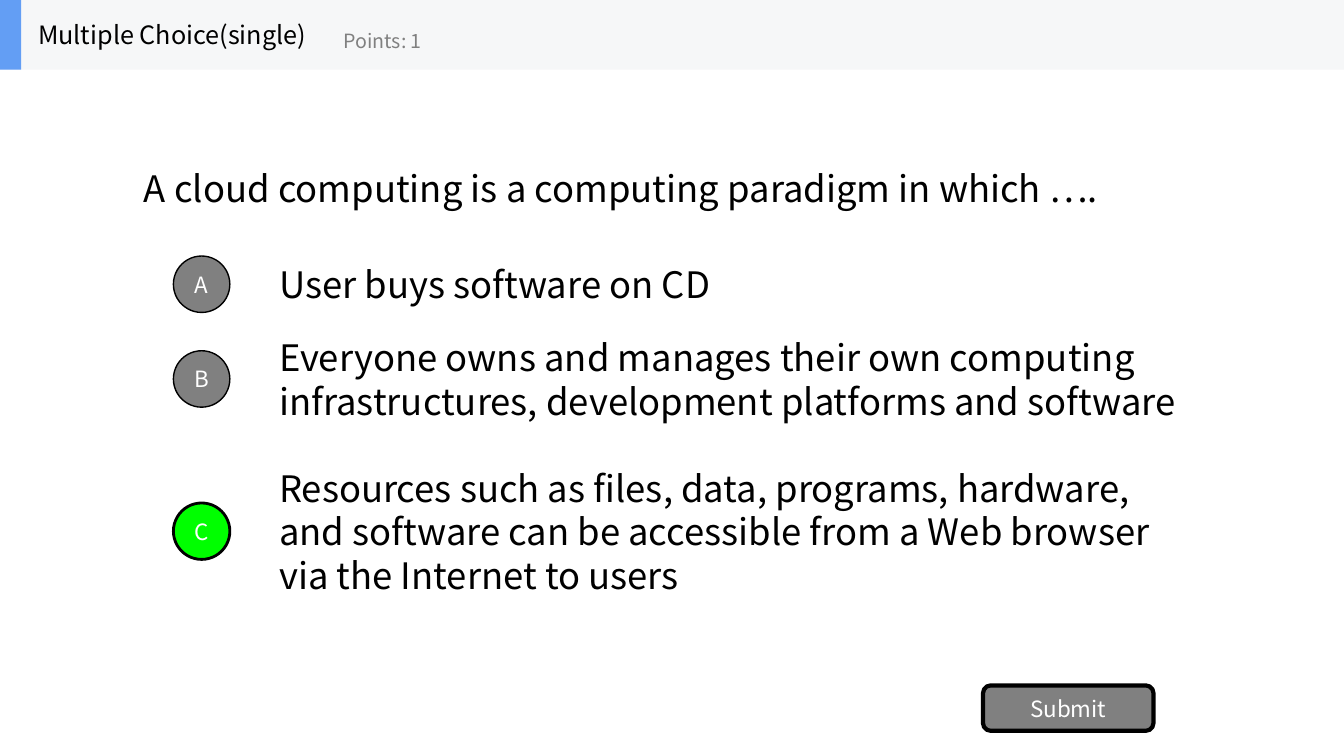
from dataclasses import dataclass

from pptx import Presentation
from pptx.dml.color import RGBColor
from pptx.enum.shapes import MSO_SHAPE
from pptx.enum.text import MSO_ANCHOR, PP_ALIGN
from pptx.util import Inches, Pt


@dataclass(frozen=True)
class Theme:
    font: str = "Noto Sans CJK SC"
    black: str = "000000"
    white: str = "FFFFFF"
    grey: str = "808080"
    correct: str = "00FF00"
    band: str = "F6F7F8"
    accent: str = "639EF4"
    body_size: int = 26
    title_size: int = 18
    button_size: int = 16
    points_size: int = 14


THEME = Theme()
QUESTION = "A cloud computing is a computing paradigm in which …."
# letter, answer, offset from the top of the answer area, is correct
ANSWERS = [
    ("A", "User buys software on CD", 0, False),
    ("B", "Everyone owns and manages their own computing infrastructures, "
          "development platforms and software", 0.94, False),
    ("C", "Resources such as files, data, programs, hardware, and software "
          "can be accessible from a Web browser via the Internet to users", 2.45, True),
]


def write(shape, text, size, color, align=PP_ALIGN.LEFT, wrap=True):
    frame = shape.text_frame
    frame.word_wrap = wrap
    frame.vertical_anchor = MSO_ANCHOR.MIDDLE
    para = frame.paragraphs[0]
    para.text = text
    para.alignment = align
    para.font.name = THEME.font
    para.font.size = Pt(size)
    para.font.color.rgb = RGBColor.from_string(color)


def add_text(page, box, text, size, color, wrap=True):
    label = page.shapes.add_textbox(*map(Inches, box))
    write(label, text, size, color, wrap=wrap)


def add_block(page, kind, box, fill, line_width=0):
    """Add a filled shape, outlined in black if line_width is given."""
    block = page.shapes.add_shape(kind, *map(Inches, box))
    block.shadow.inherit = False
    block.fill.solid()
    block.fill.fore_color.rgb = RGBColor.from_string(fill)
    if line_width:
        block.line.color.rgb = RGBColor.from_string(THEME.black)
        block.line.width = Pt(line_width)
    else:
        block.line.fill.background()
    return block


def add_button(page, kind, box, text, fill, line_width):
    button = add_block(page, kind, box, fill, line_width)
    frame = button.text_frame
    frame.margin_left = frame.margin_right = 0
    frame.margin_top = frame.margin_bottom = 0
    write(button, text, THEME.button_size, THEME.white, PP_ALIGN.CENTER)


def add_header(page, box):
    left, top, width, height = box
    add_block(page, MSO_SHAPE.RECTANGLE, box, THEME.band)
    add_block(page, MSO_SHAPE.RECTANGLE, (left, top, 0.21, height), THEME.accent)
    add_text(page, (left + 0.28, top, 2.86, height), "Multiple Choice(single)",
             THEME.title_size, THEME.black, wrap=False)
    add_text(page, (left + 3.31, top + 0.12, 2.5, 0.56), "Points: 1",
             THEME.points_size, THEME.grey, wrap=False)


def add_answers(page, box):
    left, top, width, row_height = box
    indent, diameter = 0.95, 0.56
    for letter, answer, offset, correct in ANSWERS:
        row_top = top + offset
        add_text(page, (left + indent, row_top, width - indent, row_height),
                 answer, THEME.body_size, THEME.black)
        circle = (left, row_top + (row_height - diameter) / 2, diameter, diameter)
        add_button(page, MSO_SHAPE.OVAL, circle, letter,
                   THEME.correct if correct else THEME.grey, 2 if correct else 1)


def main():
    deck = Presentation()
    deck.slide_width, deck.slide_height = Inches(13.33), Inches(7.5)
    page = deck.slides.add_slide(deck.slide_layouts[6])
    add_text(page, (1.33, 0.69, 10.67, 2.34), QUESTION, THEME.body_size, THEME.black)
    add_answers(page, (1.72, 2.47, 10.28, 0.7))
    add_button(page, MSO_SHAPE.ROUNDED_RECTANGLE, (9.75, 6.8, 1.69, 0.45),
               "Submit", THEME.grey, 3)
    add_header(page, (0, 0, 13.33, 0.69))
    deck.save("out.pptx")


if __name__ == "__main__":
    main()
